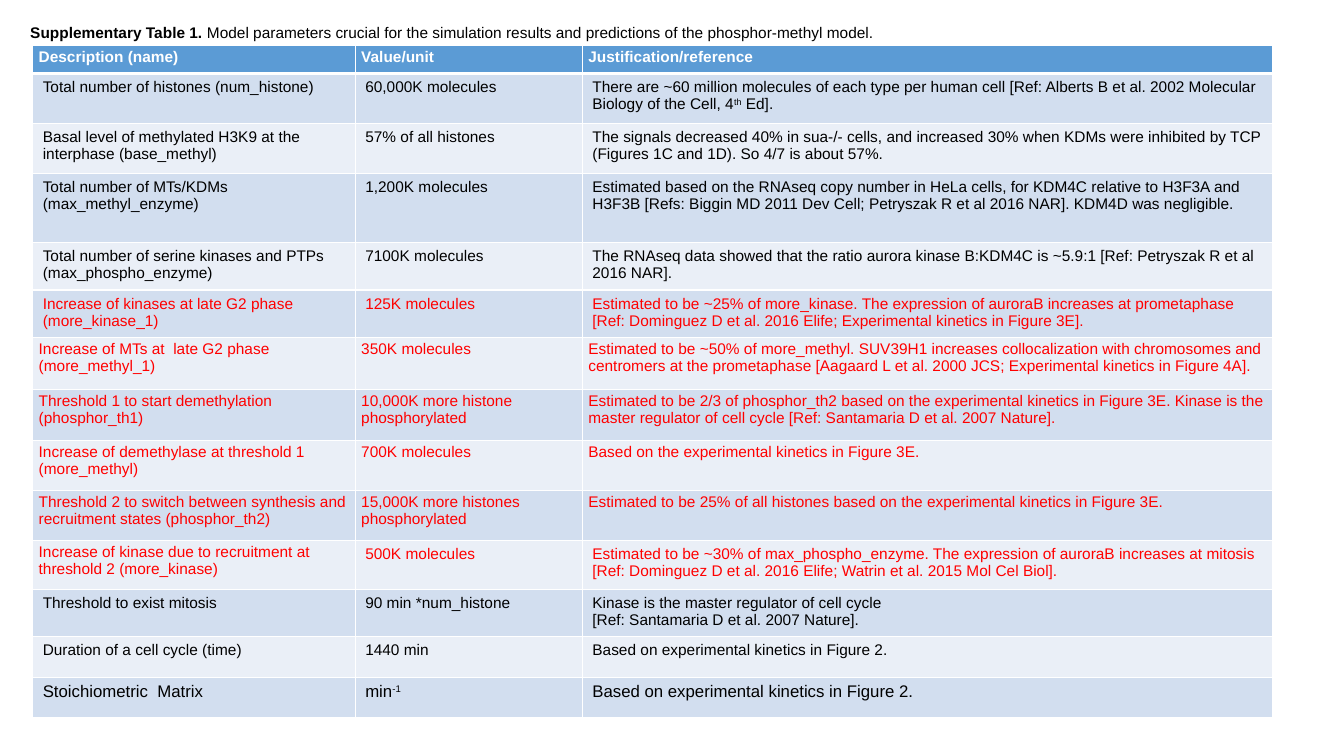
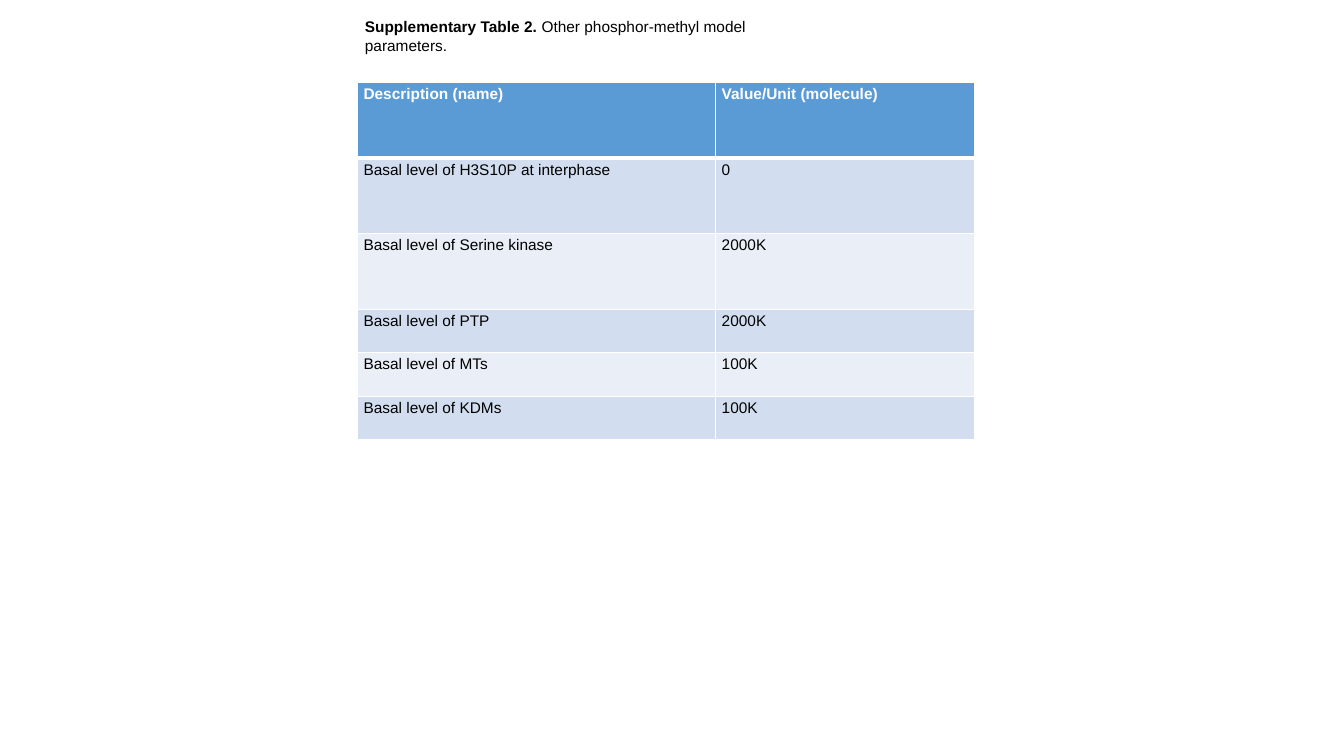
from dataclasses import dataclass

from lxml import etree
from pptx import Presentation, util as u
from pptx.dml.color import RGBColor
from pptx.enum import text as t
from pptx.oxml.ns import qn

WIDE, HIGH = u.Inches(13.33), u.Inches(7.5)
FONT = "Arial"
HUES = {
    "head": "5B9BD5",
    "odd": "D2DEEF",
    "even": "EAEFF7",
    "white": "FFFFFF",
    "black": "000000",
    "red": "FF0000",
}
TIGHT, ROOMY = (0.06, 0.03), (0.1, 0.05)


@dataclass
class Row:
    tall: float
    cells: tuple[str, ...]
    ink: str = "black"
    tight: int = 0
    size: int = 11


@dataclass
class Page:
    label: str
    title: str
    box: tuple[float, float, float, float]
    left: float
    top: float
    cols: tuple[float, ...]
    rows: list[Row]


def across(share: float) -> int:
    return round(WIDE * share / 100)


def down(share: float) -> int:
    return round(HIGH * share / 100)


def put(para, words: str, *, size: int = 11, ink: str = "black", bold: bool = False) -> None:
    para.alignment = t.PP_ALIGN.LEFT
    for i, part in enumerate(words.split("^")):
        if not part:
            continue
        run = para.add_run()
        run.text = part
        font = run.font
        font.name, font.size, font.bold = FONT, u.Pt(size), bold
        font.color.rgb = RGBColor.from_string(HUES[ink])
        if i % 2:
            run._r.get_or_add_rPr().set("baseline", "30000")


def pad(item, side: float, edge: float) -> None:
    item.margin_left = item.margin_right = u.Inches(side)
    item.margin_top = item.margin_bottom = u.Inches(edge)


def rule(cell, **widths: int) -> None:
    props = cell._tc.get_or_add_tcPr()
    for side in "LRTB":
        line = etree.SubElement(props, qn(f"a:ln{side}"), w=str(u.Pt(widths.get(side, 1))))
        fill = etree.SubElement(line, qn("a:solidFill"))
        etree.SubElement(fill, qn("a:srgbClr"), val=HUES["white"])


def draw_cell(cell, words: str, row: Row, rank: int, tight: bool) -> None:
    pad(cell, *(TIGHT if tight else ROOMY))
    rule(cell, T=3 if rank == 1 else 1, B=1 if rank else 3)
    hue = ("odd" if rank % 2 else "even") if rank else "head"
    cell.fill.solid()
    cell.fill.fore_color.rgb = RGBColor.from_string(HUES[hue])
    frame = cell.text_frame
    for i, line in enumerate(words.split("\n")):
        para = frame.add_paragraph() if i else frame.paragraphs[0]
        put(para, line, size=row.size, ink=row.ink, bold=not rank)


def draw_table(slide, page: Page) -> None:
    wide = across(sum(page.cols))
    tall = down(sum(row.tall for row in page.rows))
    shape = slide.shapes.add_table(
        len(page.rows), len(page.cols), across(page.left), down(page.top), wide, tall
    )
    table = shape.table
    table.horz_banding = False
    for col, share in zip(table.columns, page.cols):
        col.width = across(share)
    for r, row in enumerate(page.rows):
        table.rows[r].height = down(row.tall)
        for c, words in enumerate(row.cells):
            draw_cell(table.cell(r, c), words, row, r, c < row.tight)


def draw_title(slide, page: Page) -> None:
    title = slide.shapes.title
    x, y, w, h = page.box
    title.left, title.top = across(x), down(y)
    title.width, title.height = across(w), down(h)
    frame = title.text_frame
    frame.word_wrap = True
    frame.auto_size = t.MSO_AUTO_SIZE.NONE
    frame.vertical_anchor = t.MSO_ANCHOR.TOP
    pad(frame, 0.08, 0.04)
    para = frame.paragraphs[0]
    put(para, page.label + " ", bold=True)
    put(para, page.title)


PAGES = [
    Page(
        "Supplementary Table 1.",
        "Model parameters crucial for the simulation results and predictions of the phosphor-methyl model.",
        (1.65, 2.53, 65.7, 3.47), 2.43, 6, (24, 16.9, 51.35),
        [
            Row(3.73, ("Description (name)", "Value/unit", "Justification/reference"), "white", 3),
            Row(6.6, (
                "Total number of histones (num_histone)",
                "60,000K molecules",
                "There are ~60 million molecules of each type per human cell [Ref: Alberts B et al. 2002 "
                "Molecular Biology of the Cell, 4^th^ Ed].",
            )),
            Row(6.6, (
                "Basal level of methylated H3K9 at the interphase (base_methyl)",
                "57% of all histones",
                "The signals decreased 40% in sua-/- cells, and increased 30% when KDMs were inhibited by TCP "
                "(Figures 1C and 1D). So 4/7 is about 57%.",
            )),
            Row(9.2, (
                "Total number of MTs/KDMs (max_methyl_enzyme)",
                "1,200K molecules",
                "Estimated based on the RNAseq copy number in HeLa cells, for KDM4C relative to H3F3A and "
                "H3F3B [Refs: Biggin MD 2011 Dev Cell; Petryszak R et al 2016 NAR]. KDM4D was negligible.",
            )),
            Row(6.25, (
                "Total number of serine kinases and PTPs (max_phospho_enzyme)",
                "7100K molecules",
                "The RNAseq data showed that the ratio aurora kinase B:KDM4C is ~5.9:1 "
                "[Ref: Petryszak R et al 2016 NAR].",
            )),
            Row(6.25, (
                "Increase of kinases at late G2 phase (more_kinase_1)",
                "125K molecules",
                "Estimated to be ~25% of more_kinase. The expression of auroraB increases at prometaphase "
                "[Ref: Dominguez D et al. 2016 Elife; Experimental kinetics in Figure 3E].",
            ), "red"),
            Row(6.9, (
                "Increase of MTs at  late G2 phase\n(more_methyl_1)",
                "350K molecules",
                "Estimated to be ~50% of more_methyl. SUV39H1 increases collocalization with chromosomes and "
                "centromers at the prometaphase [Aagaard L et al. 2000 JCS; Experimental kinetics in Figure 4A].",
            ), "red", 3),
            Row(6.75, (
                "Threshold 1 to start demethylation\n(phosphor_th1)",
                "10,000K more histone phosphorylated",
                "Estimated to be 2/3 of phosphor_th2 based on the experimental kinetics in Figure 3E. Kinase is "
                "the master regulator of cell cycle [Ref: Santamaria D et al. 2007 Nature].",
            ), "red", 3),
            Row(6.6, (
                "Increase of demethylase at threshold 1 (more_methyl)",
                "700K molecules",
                "Based on the experimental kinetics in Figure 3E.",
            ), "red", 3),
            Row(6.6, (
                "Threshold 2 to switch between synthesis and recruitment states (phosphor_th2)",
                "15,000K more histones phosphorylated",
                "Estimated to be 25% of all histones based on the experimental kinetics in Figure 3E.",
            ), "red", 3),
            Row(6.5, (
                "Increase of kinase due to recruitment at threshold 2 (more_kinase)",
                "500K molecules",
                "Estimated to be ~30% of max_phospho_enzyme. The expression of auroraB increases at mitosis "
                "[Ref: Dominguez D et al. 2016 Elife; Watrin et al. 2015 Mol Cel Biol].",
            ), "red", 1),
            Row(6.25, (
                "Threshold to exist mitosis",
                "90 min *num_histone",
                "Kinase is the master regulator of cell cycle\n[Ref: Santamaria D et al. 2007 Nature].",
            )),
            Row(5.4, (
                "Duration of a cell cycle (time)",
                "1440 min",
                "Based on experimental kinetics in Figure 2.",
            )),
            Row(5.3, (
                "Stoichiometric  Matrix",
                "min^-1^",
                "Based on experimental kinetics in Figure 2.",
            ), size=12),
        ],
    ),
    Page(
        "Supplementary Table 2.",
        "Other phosphor-methyl model parameters.",
        (26.55, 1.73, 31.3, 6), 26.6, 10.93, (26.65, 19.25),
        [
            Row(10, ("Description (name)", "Value/Unit (molecule)"), "white", 2),
            Row(10, ("Basal level of H3S10P at interphase", "0"), tight=2),
            Row(10, ("Basal level of Serine kinase", "2000K"), tight=2),
            Row(5.75, ("Basal level of PTP", "2000K"), tight=2),
            Row(5.75, ("Basal level of MTs", "100K"), tight=2),
            Row(5.75, ("Basal level of KDMs", "100K"), tight=2),
        ],
    ),
]


def main() -> None:
    deck = Presentation()
    deck.slide_width, deck.slide_height = WIDE, HIGH
    for page in PAGES:
        slide = deck.slides.add_slide(deck.slide_layouts[5])
        draw_title(slide, page)
        draw_table(slide, page)
    deck.save("out.pptx")


if __name__ == "__main__":
    main()
